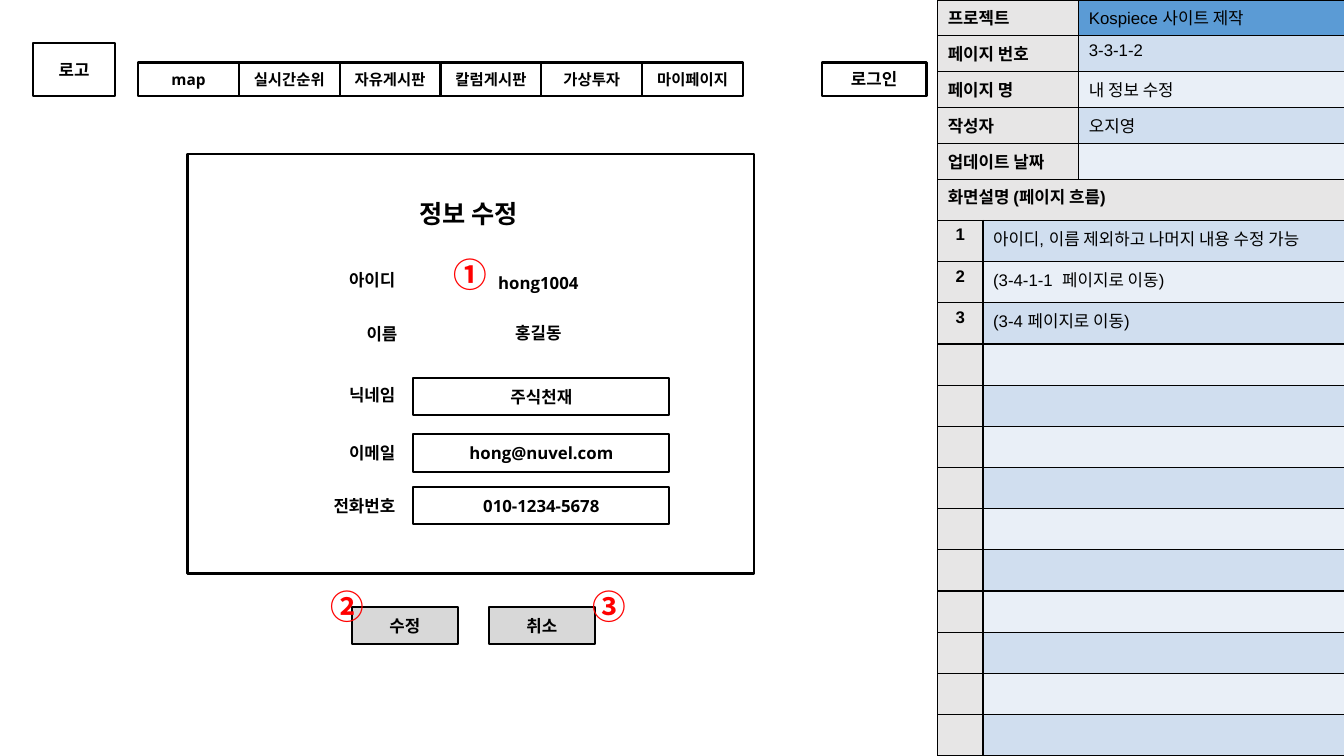
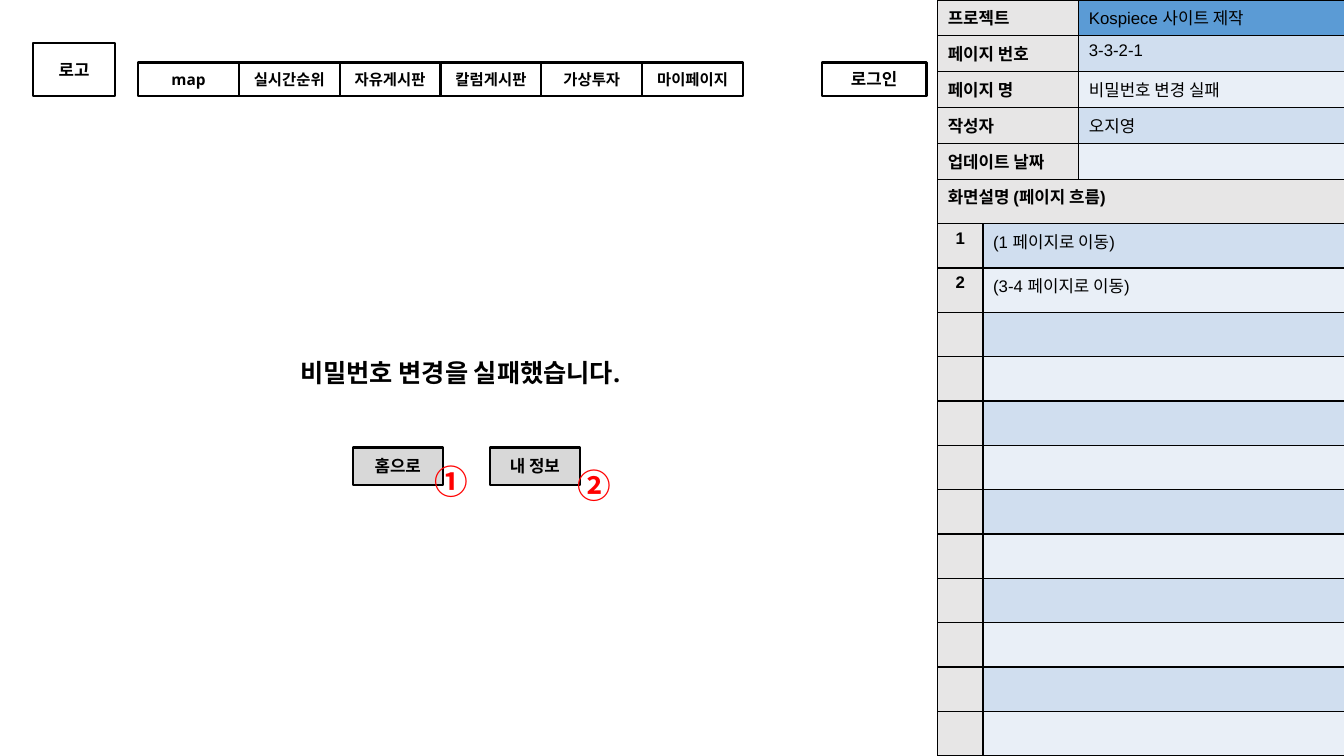
"""Build two wireframe slides, each with a page description panel."""
from dataclasses import dataclass
from typing import Optional

from lxml import etree
from pptx import Presentation
from pptx.dml.color import RGBColor
from pptx.enum.shapes import MSO_SHAPE
from pptx.enum.text import MSO_ANCHOR, PP_ALIGN
from pptx.oxml.ns import qn
from pptx.util import Inches, Pt

RECT = MSO_SHAPE.RECTANGLE
TOP, MIDDLE = MSO_ANCHOR.TOP, MSO_ANCHOR.MIDDLE
LEFT, CENTER, RIGHT = PP_ALIGN.LEFT, PP_ALIGN.CENTER, PP_ALIGN.RIGHT

BLACK = RGBColor(0x00, 0x00, 0x00)
RED = RGBColor(0xFF, 0x00, 0x00)
GREY = RGBColor(0xD8, 0xD8, 0xD8)
LABEL = RGBColor(0xE7, 0xE6, 0xE6)
BLUE = RGBColor(0x5B, 0x9B, 0xD5)
DARK = RGBColor(0xD0, 0xDE, 0xEF)
PALE = RGBColor(0xE9, 0xEF, 0xF7)

SANS, TABLE, MARK = "Open Sans", "Arial", "Noto Sans CJK KR"
HIGH = 0.37
SIDE, SPLIT, BASE = 9.3, 1.78, 7.5
MENU = ("map", "실시간순위", "자유게시판", "칼럼게시판", "가상투자", "마이페이지")
FIELDS = ("프로젝트", "페이지 번호", "페이지 명", "작성자", "업데이트 날짜")
FLOW = "화면설명 (페이지 흐름)"


@dataclass(frozen=True)
class Box:
    """A framed box with centred text."""
    text: str
    left: float
    top: float
    width: float
    height: float = HIGH
    fill: Optional[RGBColor] = None
    size: int = 12


@dataclass(frozen=True)
class Note:
    """A line of plain text."""
    text: str
    left: float
    top: float
    width: float
    align: PP_ALIGN = RIGHT


@dataclass(frozen=True)
class Mark:
    """A red circled number."""
    text: str
    left: float
    top: float


@dataclass(frozen=True)
class Page:
    """The content of one slide."""
    code: str
    name: str
    flow: tuple[str, ...]
    rows: int
    title: Note
    boxes: tuple[Box, ...]
    marks: tuple[Mark, ...]
    notes: tuple[Note, ...] = ()


FRAME = (
    Box("로고", 0.33, 0.43, 0.81, 0.52),
    Box("로그인", 8.15, 0.62, 1.04, 0.33),
    *(Box(text, 1.37 + i, 0.62, 1, 0.33, size=11) for i, text in enumerate(MENU)),
)

PAGES = (
    Page(
        "3-3-1-2", "내 정보 수정",
        ("아이디, 이름 제외하고 나머지 내용 수정 가능",
         "(3-4-1-1  페이지로 이동)", "(3-4 페이지로 이동)"), 13,
        Note("정보 수정", 3.74, 1.93, 1.81, CENTER),
        (Box("", 1.86, 1.53, 5.62, 4.16),
         Box("주식천재", 4.1, 3.75, 2.54),
         Box("hong@nuvel.com", 4.1, 4.31, 2.54),
         Box("010-1234-5678", 4.1, 4.83, 2.54),
         Box("수정", 3.49, 6.02, 1.05, fill=GREY),
         Box("취소", 4.85, 6.02, 1.05, fill=GREY)),
        (Mark("①", 4.4, 2.47), Mark("②", 3.18, 5.76), Mark("③", 5.78, 5.76)),
        (Note("아이디", 2.98, 2.59, 1.04),
         Note("이름", 3, 3.13, 1.04),
         Note("닉네임", 2.98, 3.73, 1.04),
         Note("이메일", 2.98, 4.31, 1.04),
         Note("전화번호", 2.98, 4.83, 1.04),
         Note("hong1004", 4.07, 2.62, 2.54, CENTER),
         Note("홍길동", 4.07, 3.12, 2.54, CENTER)),
    ),
    Page(
        "3-3-2-1", "비밀번호 변경 실패",
        ("(1 페이지로 이동)", "(3-4 페이지로 이동)"), 12,
        Note("비밀번호 변경을 실패했습니다.", 2.34, 3.51, 4.45, CENTER),
        (Box("홈으로", 3.5, 4.44, 0.89, fill=GREY),
         Box("내 정보", 4.86, 4.44, 0.89, fill=GREY)),
        (Mark("①", 4.21, 4.52), Mark("②", 5.63, 4.56)),
    ),
)


def style(part, size: int, face: str = SANS, align: PP_ALIGN = CENTER,
          color: RGBColor = BLACK, bold: bool = True) -> None:
    """Format a paragraph."""
    part.alignment = align
    font = part.font
    font.size, font.name, font.bold = Pt(size), face, bold
    font.color.rgb = color


def write(shape, text: str, size: int, align: PP_ALIGN = CENTER,
          face: str = SANS, color: RGBColor = BLACK,
          anchor: MSO_ANCHOR = MIDDLE, pad: float = 0.1) -> None:
    """Fill a shape with one formatted paragraph."""
    frame = shape.text_frame
    frame.word_wrap = True
    frame.vertical_anchor = anchor
    frame.margin_left = frame.margin_right = Inches(0.1)
    frame.margin_top = frame.margin_bottom = Inches(pad)
    frame.text = text
    style(frame.paragraphs[0], size, face, align, color)


def head(slide, note: Note) -> None:
    """Place the title."""
    title = slide.shapes.title
    title.left, title.top = Inches(note.left), Inches(note.top)
    title.width, title.height = Inches(note.width), Inches(HIGH)
    write(title, note.text, 18, note.align)


def draw(slide, box: Box) -> None:
    """Draw a framed box."""
    shape = slide.shapes.add_shape(RECT, Inches(box.left), Inches(box.top),
                                   Inches(box.width), Inches(box.height))
    shape.shadow.inherit = False
    if box.fill is None:
        shape.fill.background()
    else:
        shape.fill.solid()
        shape.fill.fore_color.rgb = box.fill
    shape.line.color.rgb = BLACK
    shape.line.width = Pt(1.5)
    if box.text:
        write(shape, box.text, box.size)


def label(slide, note: Note) -> None:
    """Add a plain text line."""
    shape = slide.shapes.add_textbox(Inches(note.left), Inches(note.top),
                                     Inches(note.width), Inches(HIGH))
    write(shape, note.text, 12, note.align)


def badge(slide, mark: Mark) -> None:
    """Add a circled number."""
    shape = slide.shapes.add_textbox(Inches(mark.left), Inches(mark.top),
                                     Inches(0.6), Inches(0.5))
    write(shape, mark.text, 24, LEFT, MARK, RED, TOP, 0.05)


def paint(cell, text: str, fill: RGBColor, bold: bool,
          align: PP_ALIGN = LEFT) -> None:
    """Format a table cell with black borders."""
    cell.text = text
    style(cell.text_frame.paragraphs[0], 12, TABLE, align, bold=bold)
    props = cell._tc.get_or_add_tcPr()
    for side in ("a:lnL", "a:lnR", "a:lnT", "a:lnB"):
        line = etree.SubElement(props, qn(side), w=str(Pt(1)))
        solid = etree.SubElement(line, qn("a:solidFill"))
        etree.SubElement(solid, qn("a:srgbClr"), val=str(BLACK))
    cell.fill.solid()
    cell.fill.fore_color.rgb = fill


def grid(slide, top: float, end: float, rows: int, widths: tuple[float, float]):
    """Add a two-column table with equal rows."""
    high = Inches(end - top)
    table = slide.shapes.add_table(rows, 2, Inches(SIDE), Inches(top),
                                   Inches(sum(widths)), high).table
    for col, width in zip(table.columns, widths):
        col.width = Inches(width)
    for row in table.rows:
        row.height = high // rows
    return table


def panel(slide, page: Page) -> None:
    """Add the page facts and the flow notes."""
    facts = grid(slide, 0, SPLIT, len(FIELDS), (1.4, 2.64))
    values = ("Kospiece 사이트 제작", page.code, page.name, "오지영", "")
    for i, (field, value) in enumerate(zip(FIELDS, values)):
        paint(facts.cell(i, 0), field, LABEL, True)
        paint(facts.cell(i, 1), value, (DARK if i % 2 else PALE) if i else BLUE, False)

    steps = grid(slide, SPLIT, BASE, page.rows + 1, (0.45, 3.59))
    for i in range(2):
        paint(steps.cell(0, i), "" if i else FLOW, LABEL, True)
    steps.cell(0, 0).merge(steps.cell(0, 1))
    for i in range(1, page.rows + 1):
        used = i <= len(page.flow)
        paint(steps.cell(i, 0), str(i) if used else "", LABEL, True, CENTER)
        paint(steps.cell(i, 1), page.flow[i - 1] if used else "",
              DARK if i % 2 else PALE, False)


def main() -> None:
    """Build and save the deck."""
    deck = Presentation()
    deck.slide_width, deck.slide_height = Inches(13.33), Inches(BASE)
    for page in PAGES:
        slide = deck.slides.add_slide(deck.slide_layouts[5])
        head(slide, page.title)
        panel(slide, page)
        for box in FRAME + page.boxes:
            draw(slide, box)
        for note in page.notes:
            label(slide, note)
        for mark in page.marks:
            badge(slide, mark)
    deck.save("out.pptx")


if __name__ == "__main__":
    main()
